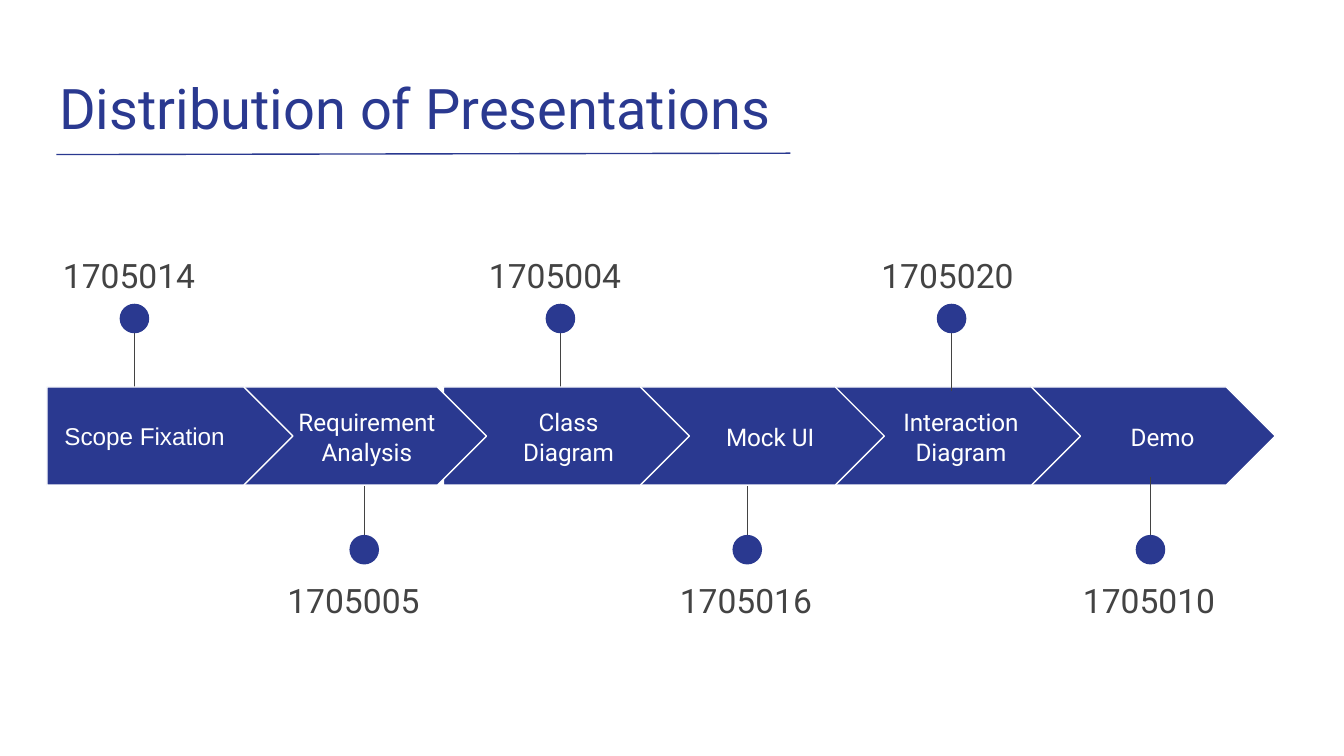
from collections import namedtuple

from lxml import etree
from pptx import Presentation
from pptx.dml.color import RGBColor
from pptx.enum.shapes import MSO_CONNECTOR, MSO_SHAPE
from pptx.enum.text import MSO_ANCHOR, MSO_AUTO_SIZE, PP_ALIGN
from pptx.oxml.ns import qn
from pptx.util import Inches, Pt

STRAIGHT = MSO_CONNECTOR.STRAIGHT
PENTAGON, OVAL = MSO_SHAPE.PENTAGON, MSO_SHAPE.OVAL
TOP, MIDDLE = MSO_ANCHOR.TOP, MSO_ANCHOR.MIDDLE
LEFT, CENTER = PP_ALIGN.LEFT, PP_ALIGN.CENTER
NO_FIT = MSO_AUTO_SIZE.NONE

COLOURS = {"blue": "2A3990", "grey": "434343", "white": "FFFFFF"}
Box = namedtuple("Box", "left top width height")
Stage = namedtuple("Stage", "name student arrow_left name_left pin_x student_left")

STAGES = [
    Stage("Scope Fixation", "1705014", 0.35, None, 1.0, 0.37),
    Stage("Requirement Analysis", "1705005", 1.79, 2.1, 2.71, 2.04),
    Stage("Class Diagram", "1705004", 3.3, 3.6, 4.17, 3.54),
    Stage("Mock UI", "1705016", 4.75, 5.1, 5.56, 4.96),
    Stage("Interaction Diagram", "1705020", 6.21, 6.52, 7.08, 6.46),
    Stage("Demo", "1705010", 7.66, 8.02, 8.56, 7.96),
]
ARROW_WIDTH, LABEL_WIDTH, DOT = 1.83, 1.26, 0.22


def colour(name):
    """Return the palette colour of that name."""
    return RGBColor.from_string(COLOURS[name])


def inches(box):
    """Return the four lengths of a box for a python-pptx call."""
    return [Inches(length) for length in box]


def write(shape, text, size, tint, font="Roboto", align=LEFT, anchor=TOP, inset=0.1):
    """Set and format the one paragraph of a shape and return it."""
    frame = shape.text_frame
    frame.word_wrap, frame.auto_size = True, NO_FIT
    frame.vertical_anchor = anchor
    frame.margin_left = frame.margin_right = Inches(inset)
    frame.margin_top = frame.margin_bottom = Inches(inset)
    frame.text = text
    para = frame.paragraphs[0]
    para.alignment = align
    para.font.name, para.font.size = font, Pt(size)
    para.font.color.rgb = colour(tint)
    return para


def add_line(page, start, end, tint):
    """Draw a thin straight line without a shadow."""
    line = page.shapes.add_connector(STRAIGHT, *inches(start + end))
    line.line.color.rgb = colour(tint)
    line.line.width = Pt(0.75)
    etree.SubElement(line._element.spPr, qn("a:effectLst"))


def add_blue_shape(page, kind, box):
    """Add a flat blue preset shape."""
    shape = page.shapes.add_shape(kind, *inches(box))
    shape.shadow.inherit = False
    shape.fill.solid()
    shape.fill.fore_color.rgb = colour("blue")
    shape.line.fill.background()
    return shape


def add_heading(page, box):
    """Place the slide title and the rule below it."""
    title = page.shapes.title
    title.left, title.top, title.width, title.height = inches(box)
    write(title, "Distribution of Presentations", 30, "blue")
    rule_left, rule_top = box.left + 0.08, box.top + 0.7
    add_line(page, (rule_left, rule_top), (rule_left + 5.46, rule_top - 0.01), "blue")


def add_pin(page, stage, band, above):
    """Join a student number to the arrow band with a dotted stem."""
    bottom = band.top + band.height
    stem_start = band.top - 0.58 if above else bottom + 0.54
    stem_end = band.top + 0.03 if above else bottom - 0.06
    dot_top = band.top - 0.62 if above else bottom + 0.37
    label_top = band.top - 1.13 if above else bottom + 0.56
    add_line(page, (stage.pin_x, stem_start), (stage.pin_x, stem_end), "grey")
    add_blue_shape(page, OVAL, Box(stage.pin_x - DOT / 2, dot_top, DOT, DOT))
    label = page.shapes.add_textbox(*inches((stage.student_left, label_top, LABEL_WIDTH, 0.41)))
    write(label, stage.student, 18, "grey").line_spacing = 1.15


def add_arrow(page, stage, band):
    """Add one arrow of the band, with its name inside if it has no label place."""
    arrow = add_blue_shape(page, PENTAGON, Box(stage.arrow_left, band.top, ARROW_WIDTH, band.height))
    arrow.line.color.rgb = colour("white")
    arrow.line.width = Pt(0.75)
    if stage.name_left is None:
        write(arrow, stage.name, 13, "white", font="Arial", anchor=MIDDLE, inset=0.13)


def add_timeline(page, band):
    """Lay out overlapping arrows, pins and stage names along the band."""
    for stage in reversed(STAGES[4:]):
        add_arrow(page, stage, band)
    for index, stage in enumerate(STAGES):
        add_pin(page, stage, band, above=index % 2 == 0)
    for stage in reversed(STAGES[:4]):
        add_arrow(page, stage, band)
    for stage in STAGES[1:]:
        name = page.shapes.add_textbox(*inches((stage.name_left, band.top + 0.05, LABEL_WIDTH, 0.64)))
        write(name, stage.name, 13, "white", align=CENTER, anchor=MIDDLE)


def main():
    """Build and save the deck."""
    deck = Presentation()
    deck.slide_width = Inches(10)
    deck.slide_height = deck.slide_width * 9 // 16
    page = deck.slides.add_slide(deck.slide_layouts[5])
    add_heading(page, Box(0.34, 0.45, 9.32, 0.66))
    add_timeline(page, Box(0.35, 2.88, 9.14, 0.73))
    deck.save("out.pptx")


if __name__ == "__main__":
    main()
